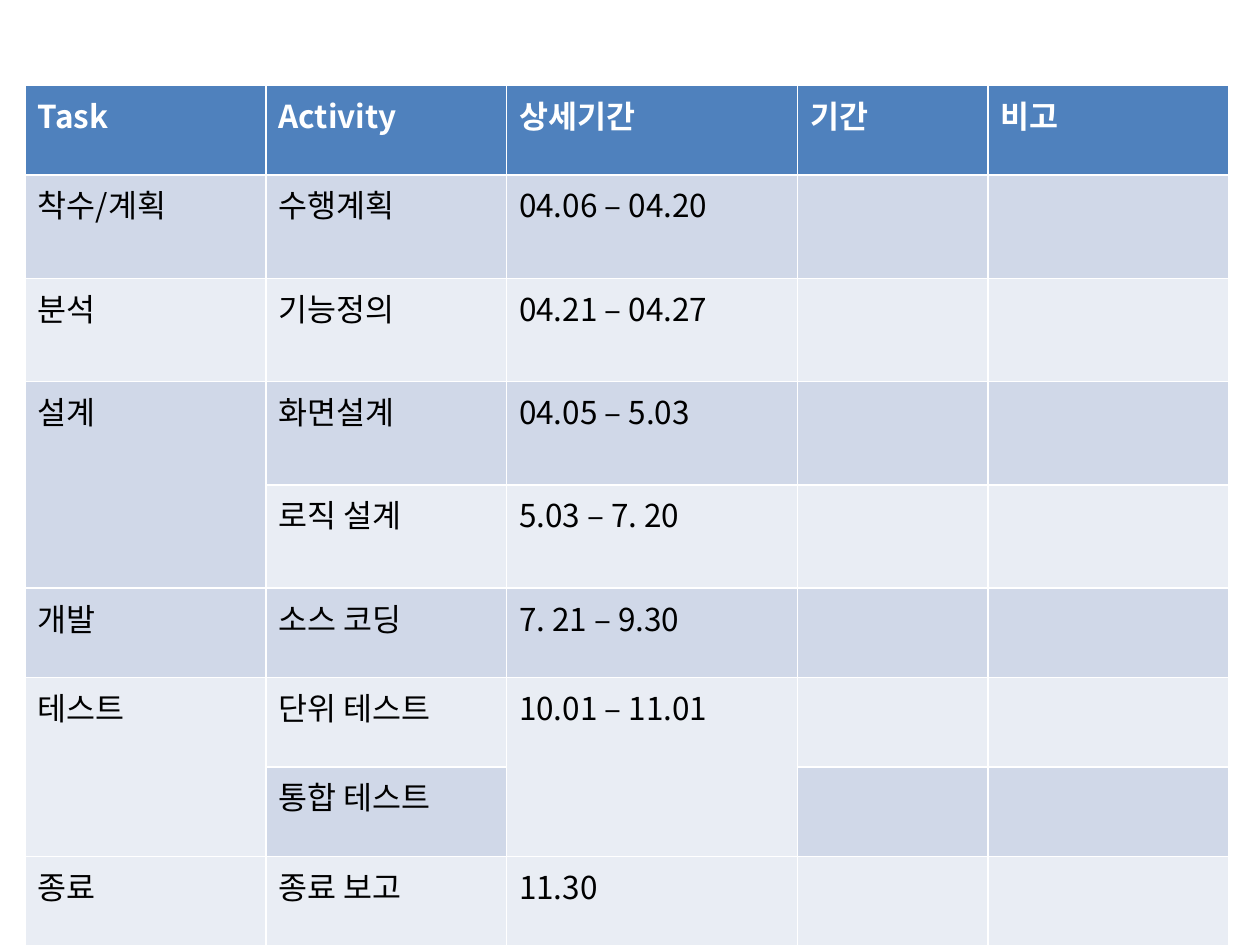
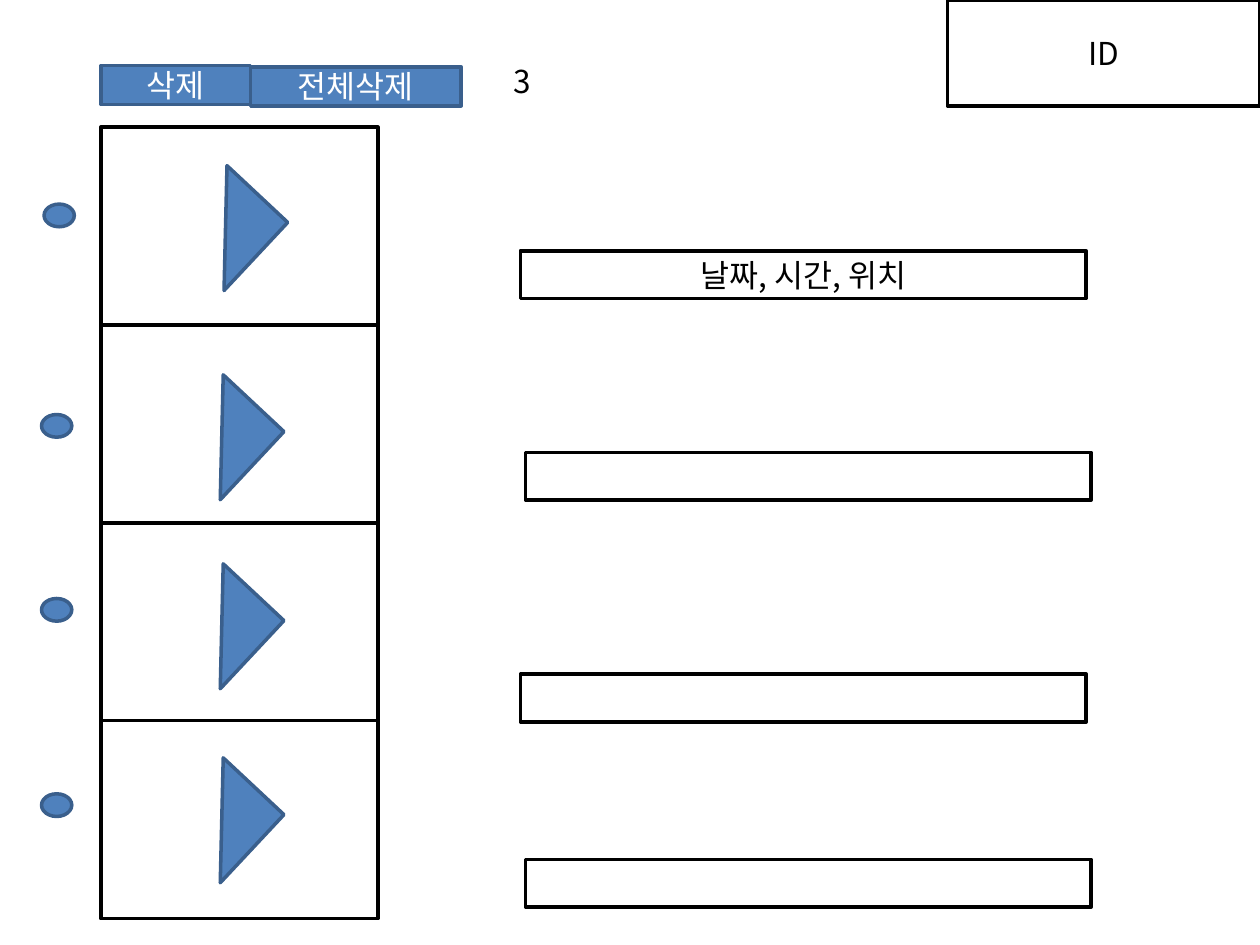
from pptx import Presentation
from pptx.dml.color import RGBColor
from pptx.enum import shapes, text
from pptx.oxml import ns
from pptx.util import Inches, Pt
from lxml import etree

FONT = "Noto Sans CJK KR"
WHITE = RGBColor(0xFF, 0xFF, 0xFF)
BLACK = RGBColor(0, 0, 0)
BLUE = RGBColor(0x4F, 0x81, 0xBD)
DARK_BLUE = RGBColor(0x3A, 0x5F, 0x8C)
BAND_DARK = RGBColor(0xD0, 0xD8, 0xE8)
BAND_LIGHT = RGBColor(0xE9, 0xED, 0xF4)

OUTLINED = (WHITE, BLACK, BLACK)     # fill, line, text
FILLED = (BLUE, DARK_BLUE, WHITE)
RECTANGLE = shapes.MSO_SHAPE.RECTANGLE


class Deck:
    """Holds the shared style and the current slide."""

    def __init__(self):
        self.presentation = Presentation()
        self.presentation.slide_width = Inches(10)
        self.presentation.slide_height = Inches(7.5)
        self.slide = None

    def new_slide(self):
        blank = self.presentation.slide_layouts[6]
        self.slide = self.presentation.slides.add_slide(blank)

    def add_words(self, frame, words, color, bold=False):
        paragraph = frame.paragraphs[0]
        run = paragraph.add_run()
        run.text = words
        font = run.font
        font.name, font.size, font.bold = FONT, Pt(18), bold
        font.color.rgb = color
        # Hangul takes its font from the East Asian slot
        east_asian = etree.SubElement(run._r.get_or_add_rPr(), ns.qn("a:ea"))
        east_asian.set("typeface", FONT)
        return paragraph

    def shape(self, kind, left, top, width, height, style, words="", rotation=0):
        fill, line, color = style
        shape = self.slide.shapes.add_shape(
            kind, Inches(left), Inches(top), Inches(width), Inches(height))
        shape.shadow.inherit = False
        shape.rotation = rotation
        shape.fill.solid()
        shape.fill.fore_color.rgb = fill
        shape.line.color.rgb = line
        shape.line.width = Pt(2)
        if words:
            shape.text_frame.vertical_anchor = text.MSO_ANCHOR.MIDDLE
            paragraph = self.add_words(shape.text_frame, words, color)
            paragraph.alignment = text.PP_ALIGN.CENTER

    def label(self, left, top, width, height, words):
        box = self.slide.shapes.add_textbox(
            Inches(left), Inches(top), Inches(width), Inches(height))
        box.text_frame.word_wrap = False
        box.text_frame.auto_size = text.MSO_AUTO_SIZE.SHAPE_TO_FIT_TEXT
        self.add_words(box.text_frame, words, BLACK)

    def table(self, left, top, widths, heights, rows, merges):
        # The default table style supplies the white cell borders
        table = self.slide.shapes.add_table(
            len(heights), len(widths), Inches(left), Inches(top),
            Inches(sum(widths)), Inches(sum(heights))).table
        for column, width in zip(table.columns, widths):
            column.width = Inches(width)
        for row, height in zip(table.rows, heights):
            row.height = Inches(height)
        for r, words_in_row in enumerate(rows):
            header = r == 0
            band = BLUE if header else BAND_DARK if r % 2 else BAND_LIGHT
            for c in range(len(widths)):
                cell = table.cell(r, c)
                cell.fill.solid()
                cell.fill.fore_color.rgb = band
                if c < len(words_in_row) and words_in_row[c]:
                    self.add_words(cell.text_frame, words_in_row[c],
                                   WHITE if header else BLACK, header)
        for row, column in merges:
            table.cell(row, column).merge(table.cell(row + 1, column))


deck = Deck()

# Slide 1: project schedule
deck.new_slide()
SCHEDULE = [
    ("Task", "Activity", "상세기간", "기간", "비고"),
    ("착수/계획", "수행계획", "04.06 – 04.20"),
    ("분석", "기능정의", "04.21 – 04.27"),
    ("설계", "화면설계", "04.05 – 5.03"),
    ("", "로직 설계", "5.03 – 7. 20"),
    ("개발", "소스 코딩", "7. 21 – 9.30"),
    ("테스트", "단위 테스트", "10.01 – 11.01"),
    ("", "통합 테스트"),
    ("종료", "종료 보고", "11.30"),
]
deck.table(0.2, 0.68, [1.91, 1.91, 2.31, 1.51, 1.91],
           [0.71] + [0.82] * 4 + [0.71] * 4, SCHEDULE,
           merges=[(3, 0), (6, 0), (6, 2)])

# Slide 2: video list screen
deck.new_slide()
for i in range(4):
    deck.shape(RECTANGLE, 0.8, 1.01 + 1.57 * i, 2.2, 1.57, OUTLINED)

# Each entry: caption position and words, play mark and selection dot positions
ENTRIES = [
    ((4.13, 1.99), "날짜, 시간, 위치", (1.46, 1.44), (0.35, 1.62)),
    ((4.17, 3.59), "", (1.43, 3.1), (0.33, 3.29)),
    ((4.13, 5.35), "", (1.43, 4.6), (0.33, 4.75)),
    ((4.17, 6.82), "", (1.43, 6.14), (0.33, 6.3)),
]
for caption, words, play, dot in ENTRIES:
    deck.shape(RECTANGLE, *caption, 4.49, 0.38, OUTLINED, words)
    deck.shape(shapes.MSO_SHAPE.RIGHT_TRIANGLE, *play, 0.66, 0.74, FILLED,
               rotation=223.1)
    deck.shape(shapes.MSO_SHAPE.OVAL, *dot, 0.24, 0.18, FILLED)

# Buttons, counter and user box
deck.shape(RECTANGLE, 0.8, 0.52, 1.19, 0.31, FILLED, "삭제")
deck.shape(RECTANGLE, 1.99, 0.53, 1.67, 0.31, FILLED, "전체삭제")
deck.shape(RECTANGLE, 7.52, 0, 2.48, 0.84, OUTLINED, "ID")
deck.label(3.98, 0.44, 0.34, 0.4, "3")

deck.presentation.save("out.pptx")
